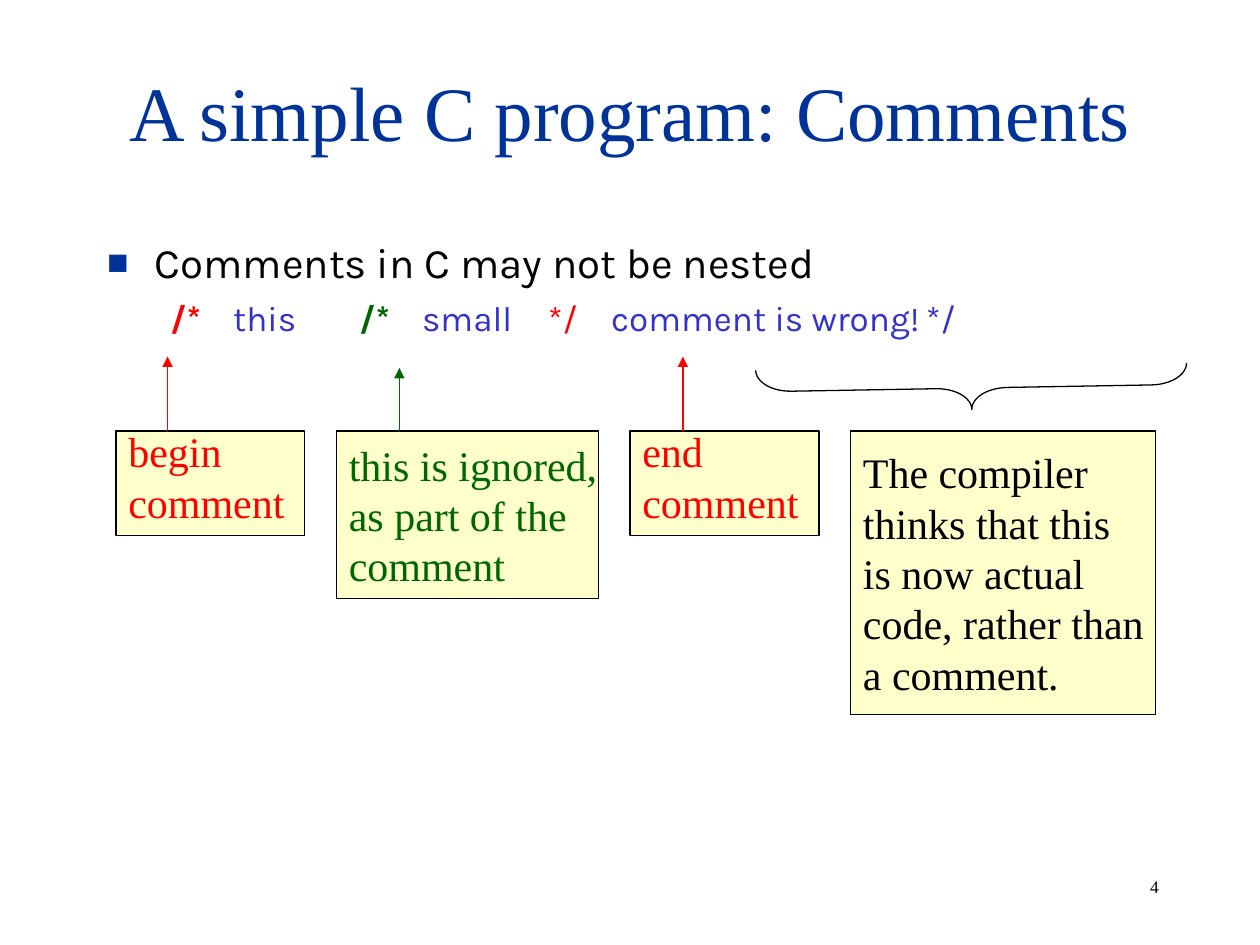
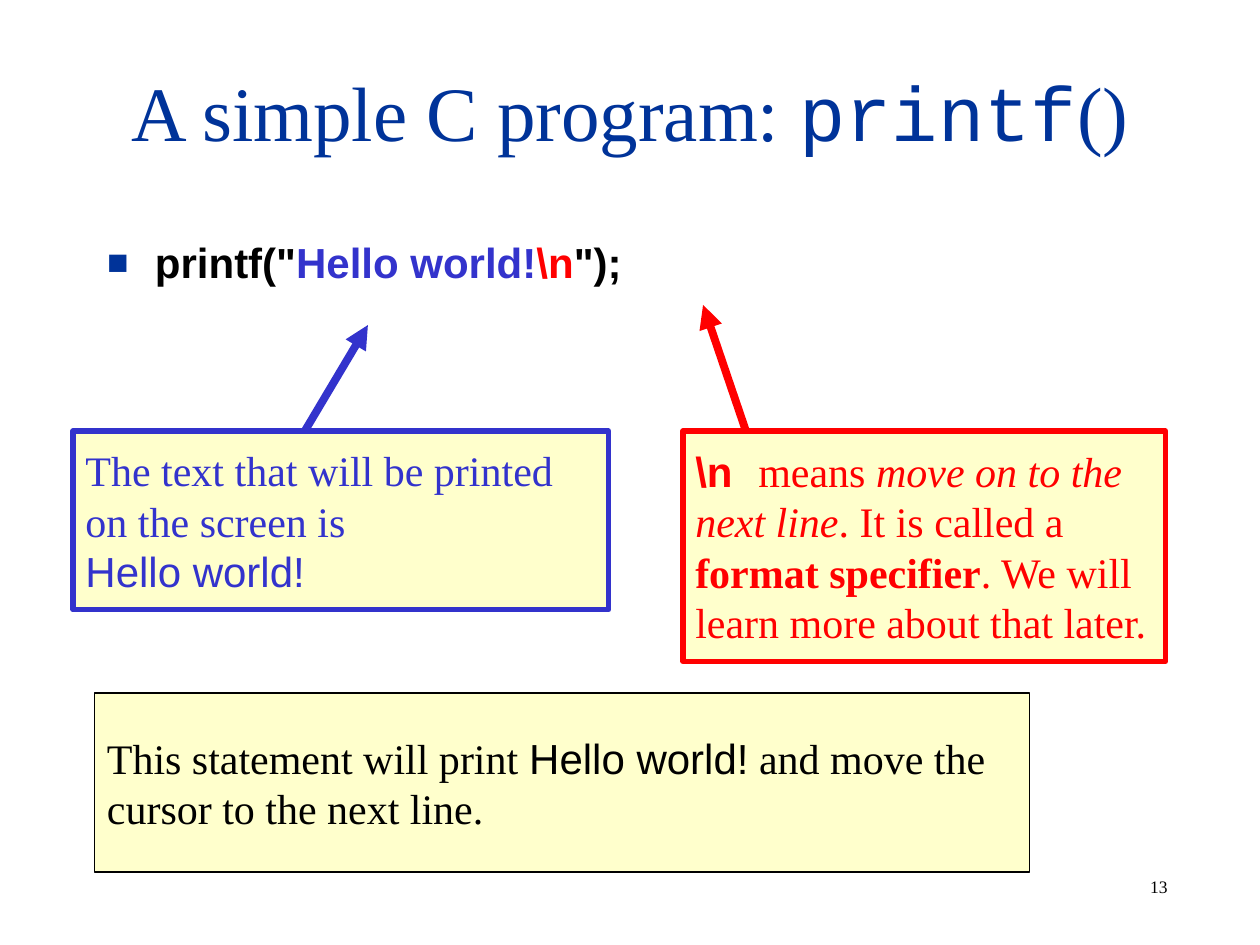
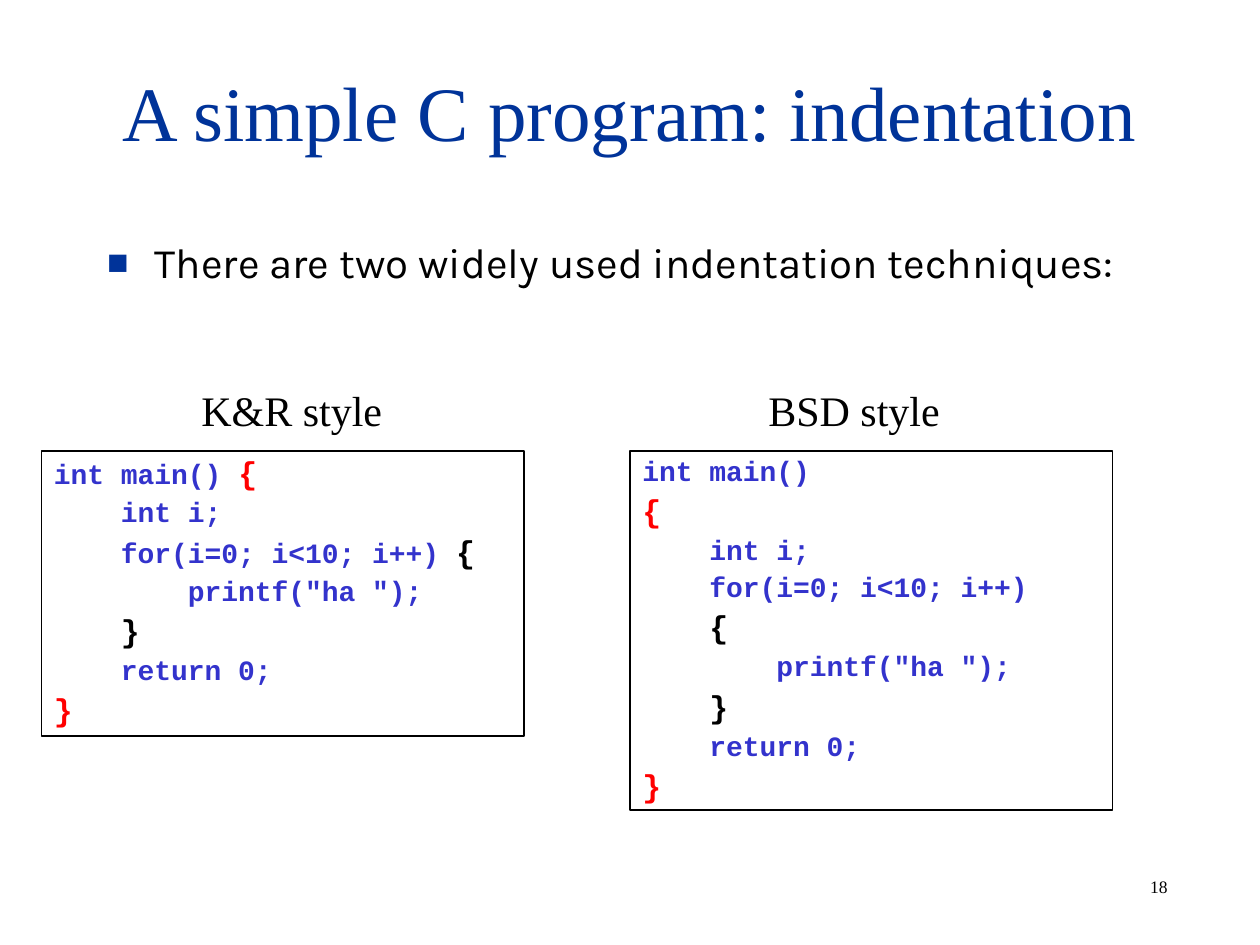
import pptx
import pptx.util
import pptx.oxml
import pptx.dml.color
import pptx.enum.shapes
import pptx.enum.text
from pptx.oxml.ns import nsdecls

Inches, Pt = pptx.util.Inches, pptx.util.Pt
Shape = pptx.enum.shapes.MSO_SHAPE
Align, Anchor = pptx.enum.text.PP_ALIGN, pptx.enum.text.MSO_ANCHOR

NAVY, BLUE, RED, GREEN = "003399", "3333CC", "FF0000", "006600"
BLACK, CREAM = "000000", "FFFFCC"
SERIF, SANS, MONO, BODY = "Times New Roman", "Arial", "Courier New", "Karla"
TOP = 3.42  # shared upper edge of the note boxes

# A paragraph is a plain string or a list of (text, format) runs.
TITLES = [
    (4, ["A simple C program: Comments"]),
    (13, [[("A simple C program: ", {}), ("printf", {"face": MONO}), ("()", {})]]),
    (18, ["A simple C program: indentation"]),
]
BODIES = [
    ["Comments in C may not be nested",
     [("\t/*", {"color": RED, "bold": True}),
      ("\tthis", {}),
      ("\t/*", {"color": GREEN, "bold": True}),
      ("\tsmall", {}),
      ("\t*/", {"color": RED}),
      ("\tcomment is wrong!\t*/", {})]],
    [[('printf("', {}), ("Hello world!", {"color": BLUE}),
      ("\\n", {"color": RED}), ('");', {})]],
    ["There are two widely used indentation techniques:"],
]
NEST_TABS = [0.5, 1.07, 2.05, 2.68, 3.8, 4.43, 7.21]

TAGS = [(0.92, ["begin", "comment"]), (5, ["end", "comment"])]
# left, top, width, height, text colour, line colour, line width, paragraphs
NESTED = [
    (2.67, TOP, 2.08, 1.33, GREEN, BLACK, 0.75,
     ["this is ignored,", "as part of the", "comment"]),
    (6.75, TOP, 2.42, 2.25, BLACK, BLACK, 0.75,
     ["The compiler", "thinks that this", "is now actual",
      "code, rather than", "a comment."]),
]
PRINTS = [
    (0.58, TOP, 4.25, 1.42, BLUE, BLUE, 3,
     ["The text that will be printed", "on the screen is",
      [("Hello world!", {"face": SANS})]]),
    (5.42, TOP, 3.83, 1.83, RED, RED, 3,
     [[("\\n", {"face": SANS, "bold": True}), ("\tmeans ", {}),
       ("move on to the", {"italic": True})],
      [("next line", {"italic": True}), (". It is called a", {})],
      [("format specifier", {"bold": True}), (". We will", {})],
      "learn more about that later."]),
    (0.75, 5.5, 7.42, 1.42, BLACK, BLACK, 0.75,
     [[("This statement will print ", {}), ("Hello world!", {"face": SANS}),
       (" and move the", {})],
      "cursor to the next line."]),
]
# start, end, colour, width
NEST_ARROWS = [
    ((1.33, TOP), (1.33, 2.83), RED, 0.75),
    ((3.17, TOP), (3.17, 2.92), GREEN, 0.75),
    ((5.42, TOP), (5.42, 2.83), RED, 0.75),
]
PRINT_ARROWS = [
    ((2.42, TOP), (2.92, 2.58), BLUE, 4.5),
    ((5.92, TOP), (5.58, 2.42), RED, 4.5),
]
# code left, code height, label left, label width, label, code
STYLES = [
    (0.33, 2.26, 1.5, 1.63, "K&R style", """\
int main() {
    int i;
    for(i=0; i<10; i++) {
        printf("ha ");
    }
    return 0;
}"""),
    (5, 2.85, 6, 1.56, "BSD style", """\
int main()
{
    int i;
    for(i=0; i<10; i++)
    {
        printf("ha ");
    }
    return 0;
}"""),
]


def rgb(code):
    return pptx.dml.color.RGBColor.from_string(code)


def place(left, top, width, height):
    return [Inches(n) for n in (left, top, width, height)]


def write(frame, paras, face=SERIF, size=24, color=BLACK, bold=False,
          align=Align.LEFT, anchor=Anchor.TOP, wrap=False):
    """Fill a frame; each run may override face, size, color, bold or italic."""
    frame.word_wrap = wrap
    frame.auto_size = pptx.enum.text.MSO_AUTO_SIZE.NONE
    frame.vertical_anchor = anchor
    for i, runs in enumerate(paras):
        para = frame.add_paragraph() if i else frame.paragraphs[0]
        para.alignment = align
        para.space_before = Pt(0)
        for text, style in [(runs, {})] if isinstance(runs, str) else runs:
            run = para.add_run()
            run.text = text
            font = run.font
            font.name = style.get("face", face)
            font.size = Pt(style.get("size", size))
            font.bold = style.get("bold", bold)
            font.italic = style.get("italic", False)
            font.color.rgb = rgb(style.get("color", color))
    return frame.paragraphs


def add_xml(parent, *parts):
    for part in parts:
        tag, rest = part.split(" ", 1)
        parent.append(pptx.oxml.parse_xml(f"<a:{tag} {nsdecls('a')} {rest}"))


def indent(para, left, first):
    props = para._p.get_or_add_pPr()
    props.set("marL", str(Inches(left)))
    props.set("indent", str(Inches(first)))
    return props


def set_tabs(props, stops):
    tabs = "".join(f'<a:tab pos="{Inches(s)}" algn="l"/>' for s in stops)
    add_xml(props, f"tabLst >{tabs}</a:tabLst>")


def label(slide, box, paras, **style):
    return write(slide.shapes.add_textbox(*place(*box)).text_frame, paras, **style)


def outline(slide, kind, box, color=BLACK, width=0.75, fill=None):
    shape = slide.shapes.add_shape(kind, *place(*box))
    shape.shadow.inherit = False
    if fill:
        shape.fill.solid()
        shape.fill.fore_color.rgb = rgb(fill)
    else:
        shape.fill.background()
    shape.line.color.rgb = rgb(color)
    shape.line.width = Pt(width)
    return shape


def note(slide, left, top, width, height, ink, edge, weight, paras):
    shape = outline(slide, Shape.RECTANGLE, (left, top, width, height),
                    edge, weight, CREAM)
    return write(shape.text_frame, paras, color=ink, anchor=Anchor.MIDDLE)


def arrow(slide, start, end, color, width):
    line = slide.shapes.add_connector(
        pptx.enum.shapes.MSO_CONNECTOR.STRAIGHT, *place(*start, *end))
    line.line.color.rgb = rgb(color)
    line.line.width = Pt(width)
    add_xml(line.line._get_or_add_ln(), 'tailEnd type="triangle"/>')
    add_xml(line._element.spPr, "effectLst />")


def start_slide(deck, number, title, body, **style):
    """Add a slide with its title, bulleted body and number."""
    slide = deck.slides.add_slide(deck.slide_layouts[1])
    head, main = slide.placeholders
    head.left, head.top, head.width, head.height = place(0.75, 0.25, 8.5, 1.25)
    main.left, main.top, main.width, main.height = place(0.75, 1.83, 8.5, 5.08)
    write(head.text_frame, title, size=44, color=NAVY,
          align=Align.CENTER, anchor=Anchor.MIDDLE, wrap=True)
    paras = write(main.text_frame, body, wrap=True, **style)
    add_xml(indent(paras[0], 0.38, -0.38),
            f'buClr ><a:srgbClr val="{NAVY}"/></a:buClr>',
            'buSzPct val="85000"/>',
            f'buFont typeface="{SANS}"/>',
            'buChar char="■"/>')
    label(slide, (9.03, 6.9, 0.78, 0.27), [str(number)], size=10)
    return slide, main, paras


def show_comments(deck):
    slide, _, paras = start_slide(deck, *TITLES[0], BODIES[0], face=BODY)
    nest = paras[1]
    nest.space_before = Pt(5)
    props = indent(nest, 0, 0)
    add_xml(props, "buNone />")
    set_tabs(props, NEST_TABS)
    for run in nest.runs:
        run.font.size = Pt(20)
        if run.font.color.rgb == rgb(BLACK):
            run.font.color.rgb = rgb(BLUE)
    for left, words in TAGS:
        outline(slide, Shape.RECTANGLE, (left, TOP, 1.5, 0.83), fill=CREAM)
        label(slide, (left, 3.33, 1.44, 0.9), words, color=RED)
    for item in NESTED:
        note(slide, *item)
    for item in NEST_ARROWS:
        arrow(slide, *item)
    brace = outline(slide, Shape.RIGHT_BRACE, (7.54, 1.37, 0.34, 3.42))
    brace.adjustments[0] = 0.83
    brace.rotation = 89


def show_printf(deck):
    slide, _, _ = start_slide(deck, *TITLES[1], BODIES[1], face=SANS, bold=True)
    for item in PRINT_ARROWS:
        arrow(slide, *item)
    notes = [note(slide, *item) for item in PRINTS]
    set_tabs(indent(notes[1][0], 0, 0), [0.49])


def split_code(line):
    """Set a closing brace apart: red at the outer level, black inside."""
    if line[-1] not in "{}":
        return [(line, {})]
    color = BLACK if line.startswith(" ") else RED
    runs = [(line[:-1], {}), (line[-1], {"size": 18, "color": color})]
    return [run for run in runs if run[0]]


def show_indents(deck):
    slide, main, _ = start_slide(deck, *TITLES[2], BODIES[2], face=BODY)
    main.height = Inches(0.83)
    for left, height, x, width, name, code in STYLES:
        box = outline(slide, Shape.RECTANGLE, (left, 3.58, 3.83, height), width=1)
        paras = write(box.text_frame, [split_code(s) for s in code.split("\n")],
                      face=MONO, size=16, color=BLUE, bold=True, wrap=True)
        for i, para in enumerate(paras):
            para.line_spacing = 0.9
            if i:
                para.space_before = Pt(4.5 if para.text[-1] in "{}" else 4)
        label(slide, (x, 3, width, 0.5), [name])


def main():
    deck = pptx.Presentation()
    deck.slide_width, deck.slide_height = Inches(10), Inches(7.5)
    show_comments(deck)
    show_printf(deck)
    show_indents(deck)
    deck.save("out.pptx")


if __name__ == "__main__":
    main()
